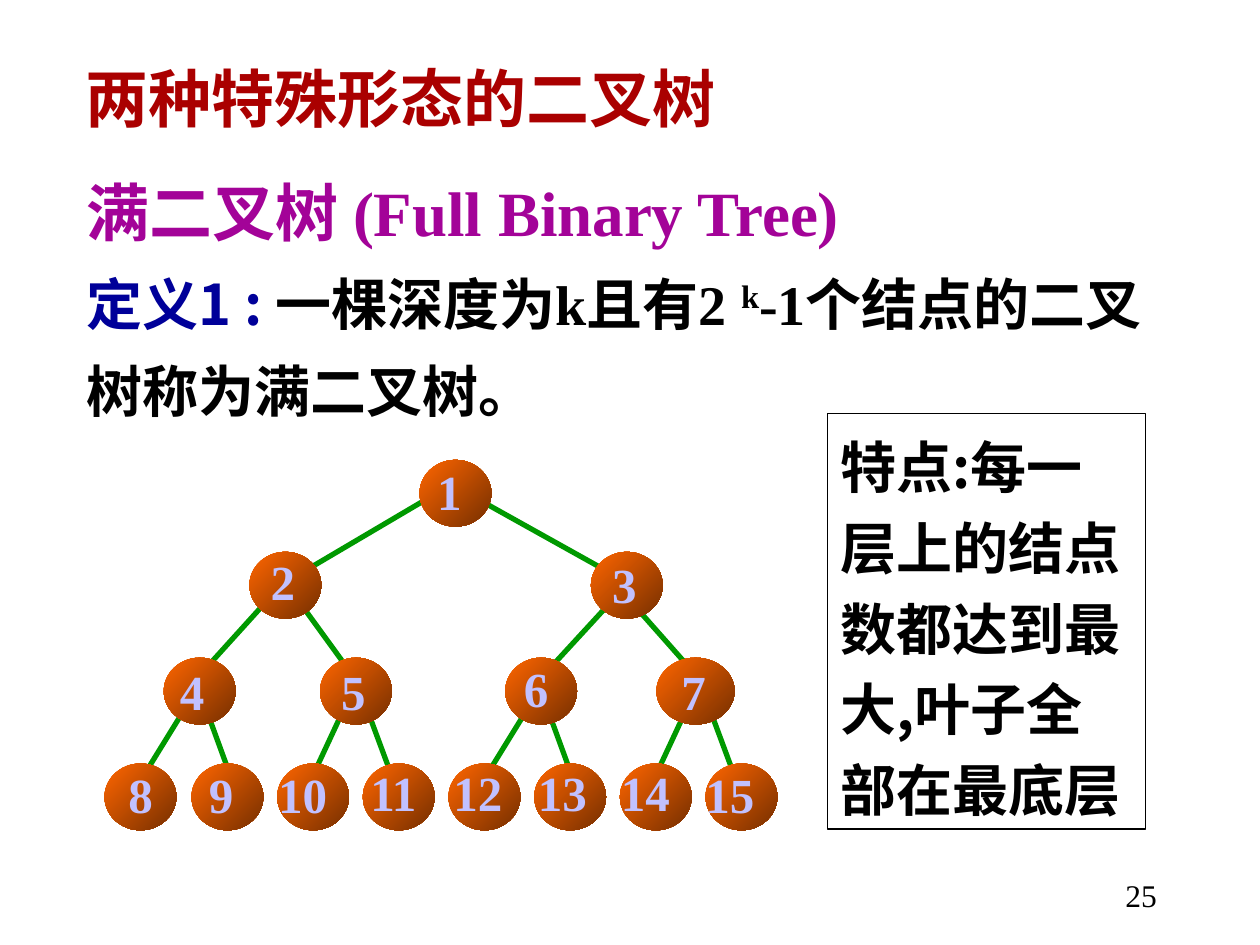
from lxml.etree import SubElement
from pptx import Presentation
from pptx.dml.color import RGBColor as RGB
from pptx.enum.shapes import MSO_CONNECTOR as Link, MSO_SHAPE as Shape
from pptx.enum.text import MSO_ANCHOR as Anchor, MSO_AUTO_SIZE as Fit, PP_ALIGN as Align
from pptx.oxml.ns import qn
from pptx.util import Inches, Pt

HUE = {"title": "AA0000", "head": "A30398", "term": "000099", "ink": "000000",
       "edge": "009900", "hot": "FF6600", "dark": "762F00", "num": "C1C1FF"}
ROMAN, SANS, JP = "Times New Roman", "Noto Sans CJK SC", "Noto Sans CJK JP"

# Runs: text, size, font, colour, bold, raised
TITLE = [[("两种特殊形态的二叉树", 36, ROMAN, "title", True, False)]]
BODY = [
    [("满二叉树 (Full Binary Tree)", 36, ROMAN, "head", True, False),
     (" ", 32, ROMAN, "head", True, False)],
    [("定义1", 32, SANS, "term", True, False),
     (" ", 28, ROMAN, "term", False, False),
     (": ", 32, SANS, "term", True, False),
     ("一棵深度为k且有2 ", 32, ROMAN, "ink", True, False),
     ("k", 32, ROMAN, "ink", True, True),
     ("-1个结点的二叉树称为满二叉树。", 32, ROMAN, "ink", True, False)],
]
TRAIT = [[("特点:", 32, SANS, "ink", True, False),
          ("每一层上的结点数都达到最大,", 32, JP, "ink", True, False),
          ("叶子全部在最底层", 32, ROMAN, "ink", True, False)]]
PAGE = [[("25", 18, ROMAN, "ink", False, False)]]

# Levels of the tree: top, then (left, label left, label top) of each node
LEVELS = [
    (3.65, [(3.33, 3.37, 3.61)]),
    (4.38, [(1.98, 2.05, 4.33), (4.69, 4.76, 4.35)]),
    (5.22, [(1.3, 1.33, 5.2), (2.54, 2.61, 5.2), (4.01, 4.06, 5.18), (5.21, 5.31, 5.2)]),
    (6.06, [(0.83, 0.92, 6.02), (1.52, 1.56, 6.02), (2.2, 2.11, 6.02), (2.88, 2.84, 6),
            (3.56, 3.5, 6), (4.24, 4.17, 6), (4.92, 4.83, 6), (5.6, 5.5, 6.02)]),
]
WIDE = {7: 0.62}
# Edges from parent to child, for children 2 to 15
EDGES = [
    (3.49, 3.9, 2.32, 4.59), (3.79, 3.96, 4.92, 4.59),
    (2.09, 4.8, 1.52, 5.43), (2.32, 4.7, 2.77, 5.32),
    (4.92, 4.7, 4.35, 5.32), (5.03, 4.8, 5.49, 5.32),
    (1.52, 5.54, 1.07, 6.27), (1.64, 5.64, 1.87, 6.27),
    (2.77, 5.54, 2.43, 6.27), (2.88, 5.54, 3.11, 6.16),
    (4.24, 5.54, 3.79, 6.27), (4.35, 5.64, 4.58, 6.27),
    (5.49, 5.54, 5.15, 6.27), (5.6, 5.54, 5.83, 6.16),
]


def color(name):
    return RGB.from_string(HUE[name])


def write(shape, paras, space=1.0, align=Align.LEFT, wrap=True, grow=True):
    frame = shape.text_frame
    frame.word_wrap = wrap
    frame.auto_size = Fit.SHAPE_TO_FIT_TEXT if grow else Fit.NONE
    frame.vertical_anchor = Anchor.TOP
    for i, runs in enumerate(paras):
        para = frame.add_paragraph() if i else frame.paragraphs[0]
        para.alignment, para.line_spacing = align, space
        for text, size, face, hue, bold, raised in runs:
            run = para.add_run()
            run.text = text
            font = run.font
            font.size, font.name, font.bold = Pt(size), face, bold
            font.color.rgb = color(hue)
            props = run._r.get_or_add_rPr()
            SubElement(props, qn("a:ea")).set("typeface", SANS if face == ROMAN else face)
            if raised:
                props.set("baseline", "30000")


def label(shapes, at, paras, **style):
    write(shapes.add_textbox(*map(Inches, at)), paras, **style)


def edge(shapes, ends):
    line = shapes.add_connector(Link.STRAIGHT, *map(Inches, ends))
    line.line.color.rgb = color("edge")
    line.line.width = Pt(3)
    SubElement(line._element.spPr, qn("a:effectLst"))


def node(shapes, at):
    ball = shapes.add_shape(Shape.OVAL, *map(Inches, at))
    ball.shadow.inherit = False
    ball.line.fill.background()
    ball.fill.gradient()
    ball.fill.gradient_angle = 315
    for stop, hue, spot in zip(ball.fill.gradient_stops, ("hot", "dark"), (0, 1)):
        stop.color.rgb = color(hue)
        stop.position = spot


def tree(shapes):
    for ends in EDGES:
        edge(shapes, ends)
    nodes = [(top, *spot) for top, row in LEVELS for spot in row]
    for num, (top, left, _, _) in enumerate(nodes, 1):
        node(shapes, (left, top, WIDE.get(num, 0.57), 0.53))
    for num, (_, _, x, y) in enumerate(nodes, 1):
        width = 0.39 if num < 10 else 0.59
        label(shapes, (x, y, width, 0.57),
              [[(str(num), 28, ROMAN, "num", True, False)]], wrap=False)


def main():
    deck = Presentation()
    deck.slide_width, deck.slide_height = Inches(10), Inches(7.5)
    shapes = deck.slides.add_slide(deck.slide_layouts[6]).shapes
    label(shapes, (0.59, 1.15, 8.79, 2.27), BODY, space=1.3)
    label(shapes, (0.58, 0.42, 6.03, 0.7), TITLE)
    tree(shapes.add_group_shape().shapes)
    box = shapes.add_shape(Shape.RECTANGLE, *map(Inches, (6.57, 3.28, 2.52, 3.3)))
    box.shadow.inherit = False
    box.fill.background()
    box.line.color.rgb = color("ink")
    box.line.width = Pt(0.75)
    write(box, TRAIT, space=1.2)
    label(shapes, (7.2, 6.9, 2.08, 0.5), PAGE, align=Align.RIGHT, grow=False)
    deck.save("out.pptx")


if __name__ == "__main__":
    main()
